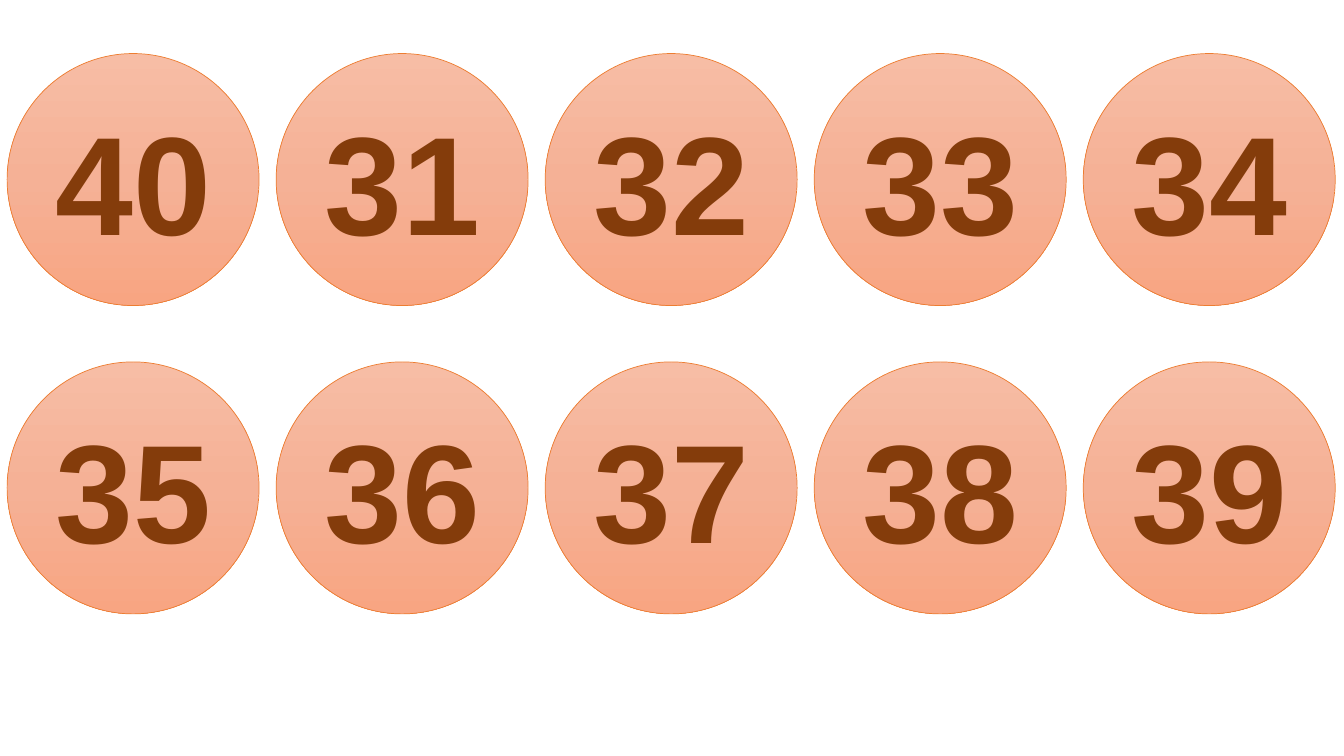
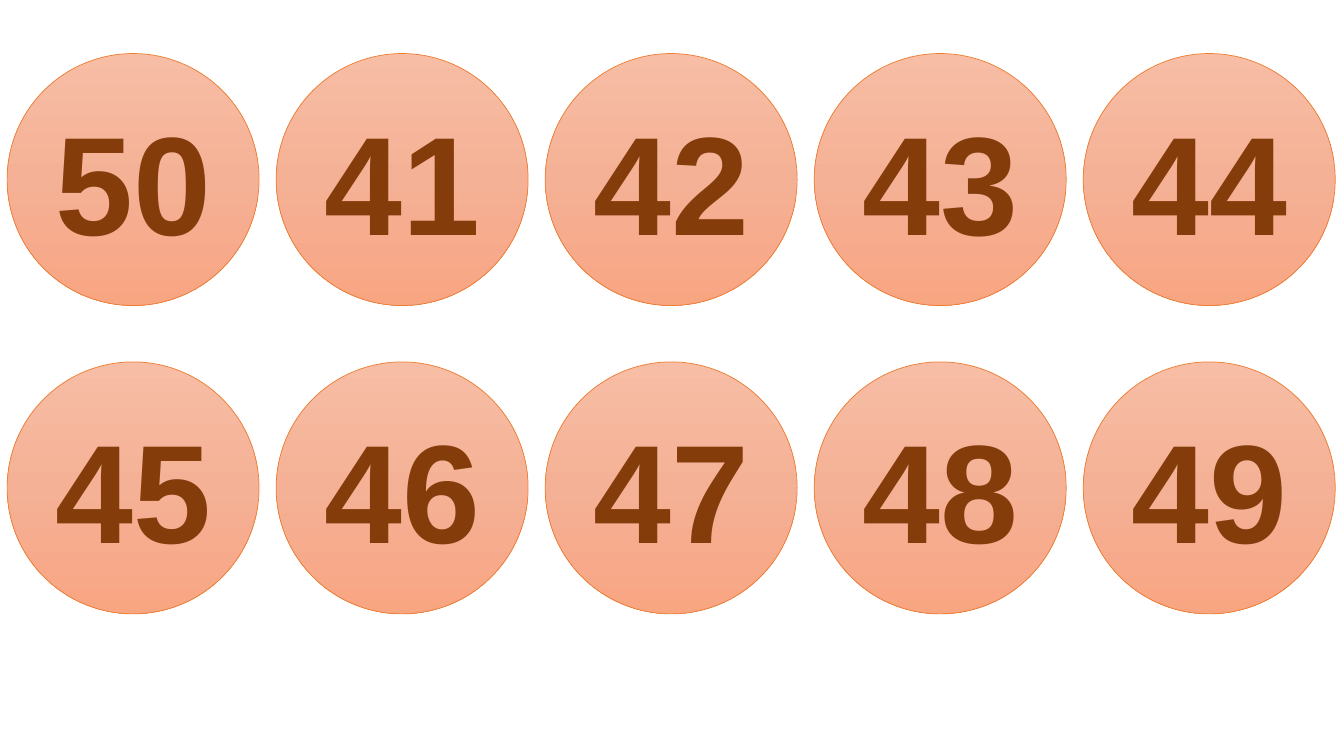
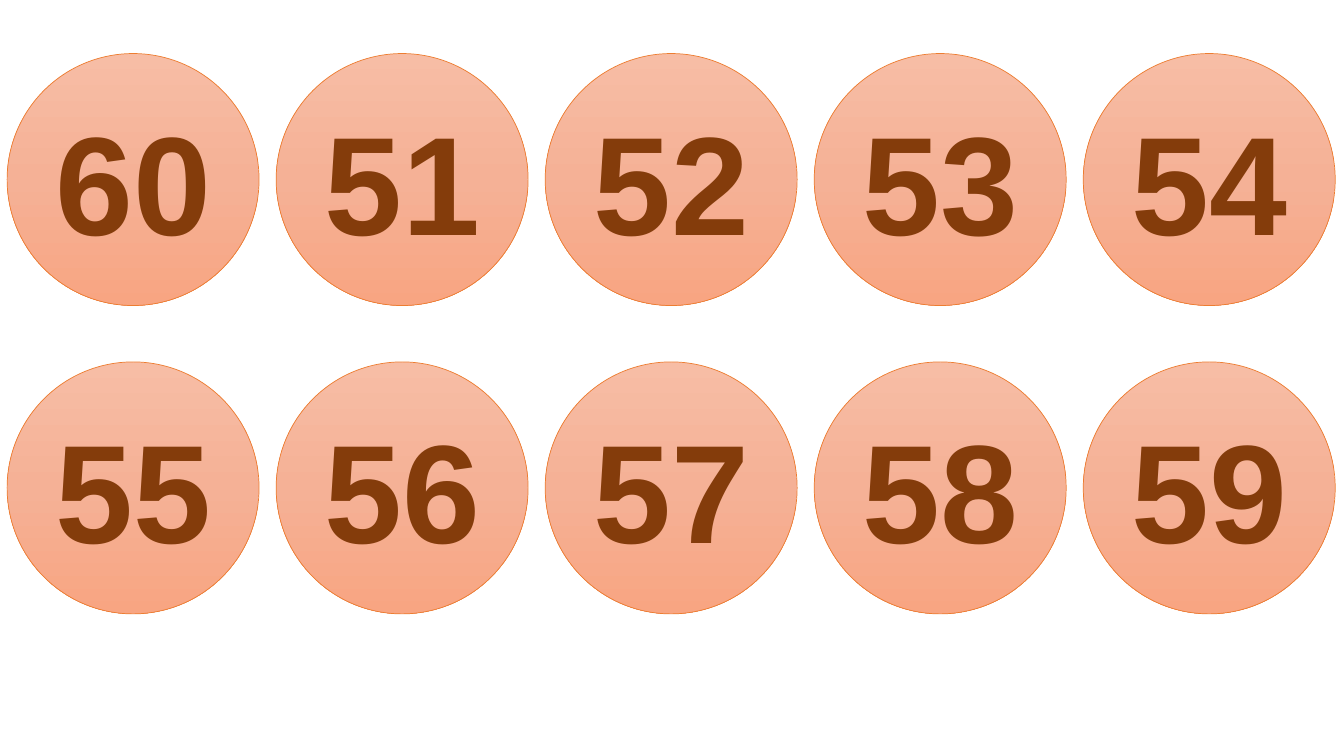
from copy import deepcopy
from dataclasses import dataclass

from pptx import Presentation
from pptx.dml.color import RGBColor as RGB
from pptx.enum.shapes import MSO_SHAPE as Preset
from pptx.enum.text import MSO_ANCHOR as Anchor, PP_ALIGN as Align
from pptx.util import Cm, Pt

NUMBER_SLIDES = [
    [(40, 31, 32, 33, 34), (35, 36, 37, 38, 39)],
    [(50, 41, 42, 43, 44), (45, 46, 47, 48, 49)],
    [(60, 51, 52, 53, 54), (55, 56, 57, 58, 59)],
]


@dataclass(frozen=True)
class Theme:
    gradient: tuple = ((0, "F7BDA5"), (0.5, "F5B196"), (1, "F8A582"))
    outline: str = "ED7D31"
    outline_width: float = 0.5
    number: str = "843C0B"
    number_size: int = 100
    font: str = "Arial"


THEME = Theme()
SLIDE_WIDTH, SLIDE_HEIGHT = 33.87, 19.05
LEFT, TOP = 0.18, 1.35
DIAMETER = 6.35
COLUMN_STEP, ROW_STEP = 6.78, 7.77


def fill_ball(ball):
    fill = ball.fill
    fill.gradient()
    fill.gradient_angle = 270
    first_stop = ball.element.xpath("./p:spPr/a:gradFill/a:gsLst/a:gs")[0]
    first_stop.addnext(deepcopy(first_stop))
    for stop, (position, color) in zip(fill.gradient_stops, THEME.gradient):
        stop.position = position
        stop.color.rgb = RGB.from_string(color)


def add_ball(slide, number, column, row):
    ball = slide.shapes.add_shape(
        Preset.OVAL,
        Cm(LEFT + column * COLUMN_STEP),
        Cm(TOP + row * ROW_STEP),
        Cm(DIAMETER),
        Cm(DIAMETER),
    )
    ball.shadow.inherit = False
    fill_ball(ball)
    ball.line.color.rgb = RGB.from_string(THEME.outline)
    ball.line.width = Pt(THEME.outline_width)

    frame = ball.text_frame
    frame.text = str(number)
    frame.vertical_anchor = Anchor.MIDDLE
    paragraph = frame.paragraphs[0]
    paragraph.alignment = Align.CENTER
    font = paragraph.runs[0].font
    font.name = THEME.font
    font.size = Pt(THEME.number_size)
    font.bold = True
    font.color.rgb = RGB.from_string(THEME.number)


deck = Presentation()
deck.slide_width, deck.slide_height = Cm(SLIDE_WIDTH), Cm(SLIDE_HEIGHT)
blank_layout = deck.slide_layouts.get_by_name("Blank")

for number_rows in NUMBER_SLIDES:
    slide = deck.slides.add_slide(blank_layout)
    for row, numbers in enumerate(number_rows):
        for column, number in enumerate(numbers):
            add_ball(slide, number, column, row)

deck.save("out.pptx")
